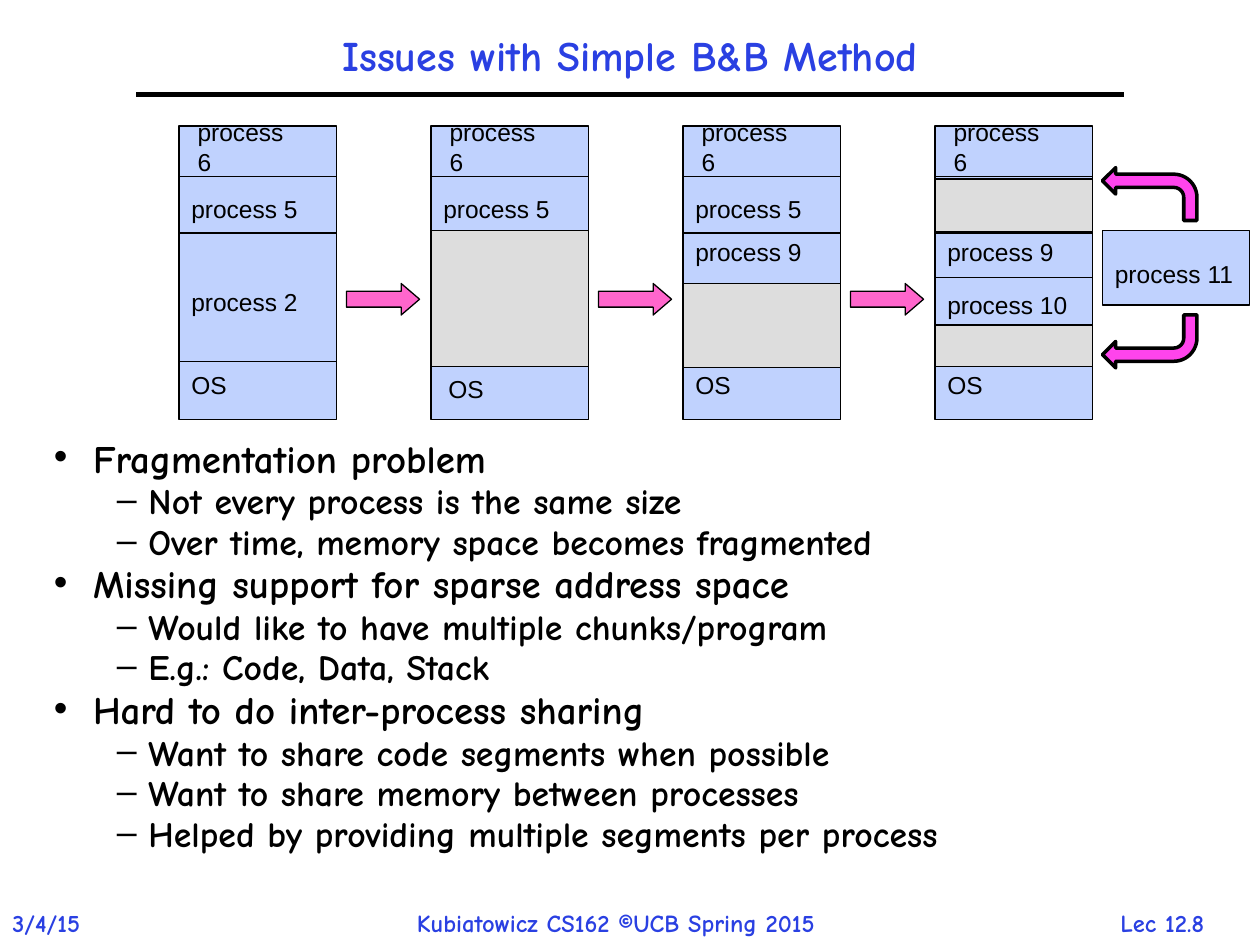
import pptx
import pptx.util
import pptx.dml.color
import pptx.enum.shapes
import pptx.enum.text
import pptx.oxml
import pptx.oxml.ns
from pptx.util import Inches, Pt

RGBColor = pptx.dml.color.RGBColor
MSO_SHAPE = pptx.enum.shapes.MSO_SHAPE
PP_ALIGN = pptx.enum.text.PP_ALIGN
MSO_ANCHOR = pptx.enum.text.MSO_ANCHOR

BLACK = RGBColor(0x00, 0x00, 0x00)
HEADING_BLUE = RGBColor(0x2A, 0x40, 0xE2)
MEMORY_BLUE = RGBColor(0xC0, 0xD2, 0xFE)
FREE_GRAY = RGBColor(0xDD, 0xDD, 0xDD)
STEP_PINK = RGBColor(0xFF, 0x66, 0xCC)
PLACE_MAGENTA = RGBColor(0xFF, 0x44, 0xEC)

presentation = pptx.Presentation()
presentation.slide_width = Inches(10)
presentation.slide_height = Inches(7.5)
slide = presentation.slides.add_slide(presentation.slide_layouts[6])


def add_text(text, left, top, width, height, size, font="Arial", color=BLACK,
             wrap=True, align=PP_ALIGN.LEFT, anchor=MSO_ANCHOR.MIDDLE):
    box = slide.shapes.add_textbox(Inches(left), Inches(top), Inches(width), Inches(height))
    box.text_frame.word_wrap = wrap
    box.text_frame.vertical_anchor = anchor
    box.text_frame.text = text
    for paragraph in box.text_frame.paragraphs:
        paragraph.alignment = align
        for run in paragraph.runs:
            run.font.name = font
            run.font.size = Pt(size)
            run.font.bold = font == "Comic Neue"
            run.font.color.rgb = color
    return box


def add_block(kind, left, top, width, height, fill, line_width=0.75):
    shape = slide.shapes.add_shape(kind, Inches(left), Inches(top), Inches(width), Inches(height))
    shape.shadow.inherit = False
    shape.fill.solid()
    shape.fill.fore_color.rgb = fill
    shape.line.color.rgb = BLACK
    shape.line.width = Pt(line_width)
    return shape


# Footer and title
for text, left, width, align in [
    ("Lec 12.8", 8.56, 1.33, PP_ALIGN.CENTER),
    ("3/4/15", 0, 0.88, PP_ALIGN.LEFT),
    ("Kubiatowicz CS162 ©UCB Spring 2015", 3.21, 3.87, PP_ALIGN.LEFT),
]:
    add_text(text, left, 7.16, width, 0.34, 14, "Comic Neue", HEADING_BLUE,
             wrap=False, align=align, anchor=MSO_ANCHOR.TOP)
title = add_text("Issues with Simple B&B Method", 0, 0.17, 10, 0.58, 24,
                 "Comic Neue", HEADING_BLUE, align=PP_ALIGN.CENTER)
title.text_frame.paragraphs[0].line_spacing = 0.9

# Bullets
outline = [
    (0, "Fragmentation problem"),
    (1, "Not every process is the same size"),
    (1, "Over time, memory space becomes fragmented"),
    (0, "Missing support for sparse address space"),
    (1, "Would like to have multiple chunks/program"),
    (1, "E.g.: Code, Data, Stack"),
    (0, "Hard to do inter-process sharing"),
    (1, "Want to share code segments when possible"),
    (1, "Want to share memory between processes"),
    (1, "Helped by providing multiple segments per process"),
]
level_styles = [("•", 0.31, 0.31, 22.2), ("–", 0.75, 0.25, 20.4)]
body = add_text("\n".join(text for level, text in outline), 0.33, 3.5, 9.42, 3.67,
                20.4, "Comic Neue", anchor=MSO_ANCHOR.TOP)
namespace = pptx.oxml.ns.nsdecls("a")
for paragraph, (level, text) in zip(body.text_frame.paragraphs, outline):
    bullet, margin, hanging, size = level_styles[level]
    paragraph.level = level
    paragraph.line_spacing = 0.7
    paragraph.runs[0].font.size = Pt(size)
    properties = paragraph._p.get_or_add_pPr()
    properties.set("marL", str(Inches(margin)))
    properties.set("indent", str(-Inches(hanging)))
    for xml in (f'<a:spcBef {namespace}><a:spcPct val="30000"/></a:spcBef>',
                f'<a:buFont {namespace} typeface="Arial"/>',
                f'<a:buChar {namespace} char="{bullet}"/>'):
        properties.append(pptx.oxml.parse_xml(xml))

# Memory columns: labels are (text, left offset, top), free areas are (top, height)
COLUMN_LEFT, COLUMN_PITCH, COLUMN_WIDTH = 1.42, 2, 1.25
dividers = [1.4, 1.85, 2.87]
columns = [
    (dividers, [], [("process 5", 0, 1.49), ("process 2", 0, 2.23), ("OS", 0, 2.89)]),
    (dividers, [(1.83, 1.08)], [("process 5", 0, 1.49), ("OS", 0.04, 2.92)]),
    (dividers, [(2.25, 0.67)],
     [("process 5", 0, 1.49), ("process 9", 0, 1.83), ("OS", 0, 2.89)]),
    (dividers + [2.2], [(1.42, 0.42), (2.58, 0.33)],
     [("process 9", 0, 1.83), ("process 10", 0, 2.25), ("OS", 0, 2.89)]),
]
rules = [(1.08, 8.92, 0.75, 3)]
for index, (column_dividers, free_areas, labels) in enumerate(columns):
    left = COLUMN_LEFT + index * COLUMN_PITCH
    add_block(MSO_SHAPE.RECTANGLE, left, 1, COLUMN_WIDTH, 2.33, MEMORY_BLUE)
    for top, height in free_areas:
        add_block(MSO_SHAPE.RECTANGLE, left, top, COLUMN_WIDTH, height, FREE_GRAY)
    # Dividers inside a free area stay hidden
    rules += [(left, left + COLUMN_WIDTH, y, 0.75) for y in column_dividers
              if not any(top < y < top + height for top, height in free_areas)]
    add_text("process 6", left + 0.05, 1, 1.04, 0.33, 14)
    for text, offset, top in labels:
        add_text(text, left + offset, top, 1.17, 0.33, 14)
    if index > 0:
        arrow = add_block(MSO_SHAPE.RIGHT_ARROW, left - 0.67, 2.25, 0.58, 0.25, STEP_PINK)
        arrow.adjustments[1] = 0.583

# Title rule and column dividers
for start, end, y, width in rules:
    line = slide.shapes.add_connector(pptx.enum.shapes.MSO_CONNECTOR.STRAIGHT,
                                      Inches(start), Inches(y), Inches(end), Inches(y))
    line.line.color.rgb = BLACK
    line.line.width = Pt(width)
    line._element.spPr.append(pptx.oxml.parse_xml(f"<a:effectLst {namespace}/>"))

# Process 11 and its two possible places
add_block(MSO_SHAPE.RECTANGLE, 8.75, 1.83, 1.17, 0.59, MEMORY_BLUE)
add_text("process 11", 8.75, 2.01, 1.17, 0.33, 14)
for top, flip_vertical in [(1.33, "0"), (2.5, "1")]:
    arrow = add_block(MSO_SHAPE.BENT_ARROW, 8.75, top, 0.75, 0.42, PLACE_MAGENTA, 2)
    transform = arrow._element.spPr.xfrm
    transform.set("flipH", "1")
    transform.set("flipV", flip_vertical)

presentation.save("out.pptx")
